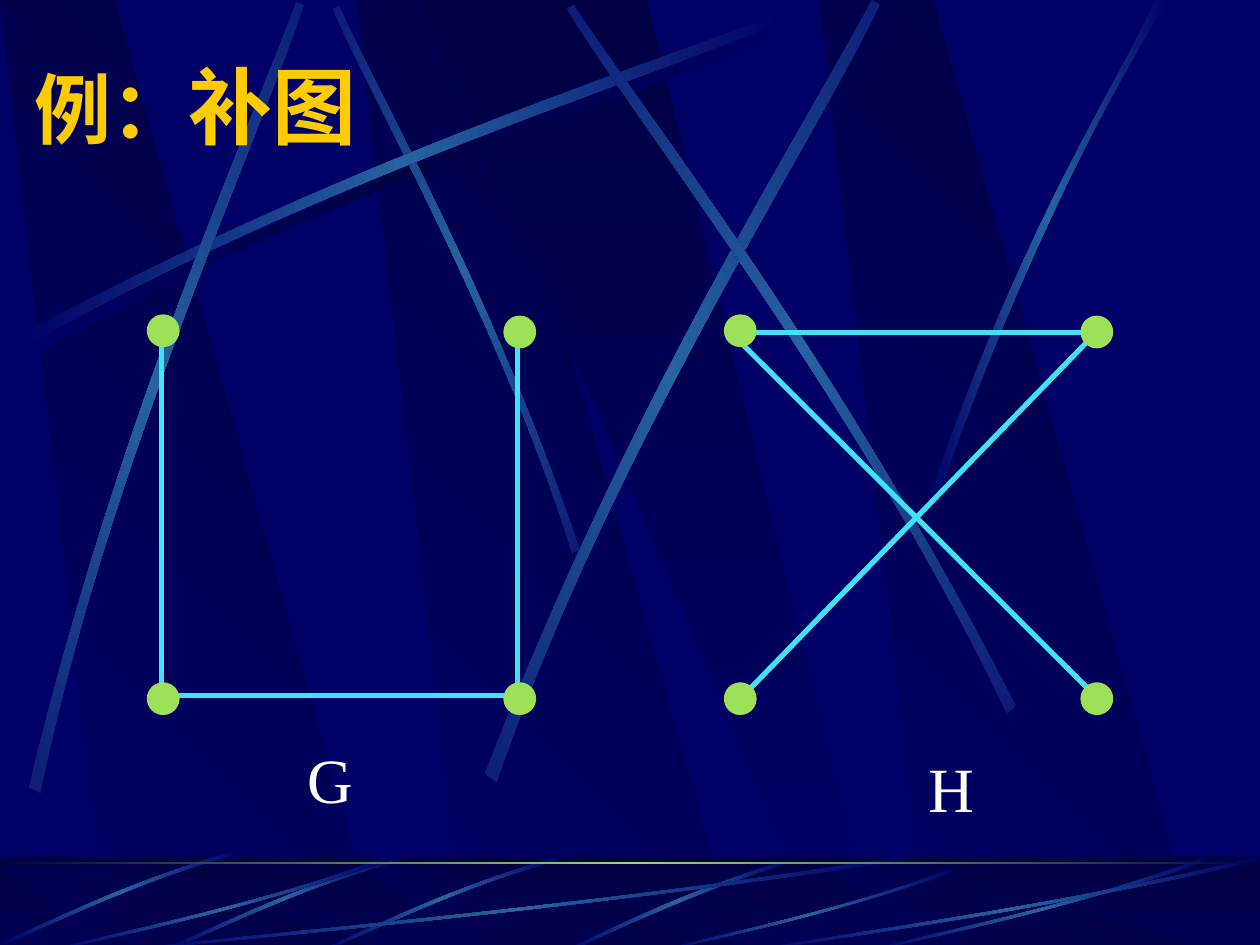
"""Build the slide showing graph G and its complement H."""
from copy import deepcopy
from math import cos, radians, sin

from lxml import etree
from pptx import Presentation
from pptx.dml.color import RGBColor
from pptx.enum.shapes import MSO_CONNECTOR, MSO_SHAPE
from pptx.enum.text import MSO_ANCHOR, MSO_AUTO_SIZE, PP_ALIGN
from pptx.oxml.ns import qn
from pptx.util import Inches, Pt

RECT, OVAL, LINE = MSO_SHAPE.RECTANGLE, MSO_SHAPE.OVAL, MSO_CONNECTOR.STRAIGHT
LEFT, MIDDLE, FIT = PP_ALIGN.LEFT, MSO_ANCHOR.MIDDLE, MSO_AUTO_SIZE.SHAPE_TO_FIT_TEXT

THEME = {
    "back": "000066", "dark": "000044", "glow": "2663A0", "node": "9CE157",
    "edge": "40E2F8", "title": "FFCC00", "label": "FFFFFF",
    "serif": "Times New Roman", "cjk": "Noto Sans CJK SC", "label_size": 36,
}
TITLE = [("例：", 44, THEME["serif"]), ("补图", 48, THEME["cjk"])]
LABELS = {"G": (2.34, 5.83), "H": (7.27, 5.9)}
EDGES = {
    "G": [(4.08, 5.52, 1.33, 5.52), (1.28, 2.67, 1.28, 5.58), (4.11, 2.67, 4.11, 5.59)],
    "H": [(5.83, 2.67, 8.75, 5.58), (8.67, 2.64, 5.92, 2.64), (5.92, 5.5, 8.67, 2.67)],
}
NODES = {
    "G": [(1.17, 2.5), (1.17, 5.42), (4, 2.51), (4, 5.42)],
    "H": [(5.75, 2.5), (5.75, 5.42), (8.58, 2.51), (8.58, 5.42)],
}
NODE = 0.25

BEAM = [(0.29, 1), (1, 1), (0.3, 0), (0, 0)]
WEDGE = [(0, 0), (0.9, 1), (1, 1), (0.5, 0)]
BEAMS = [2.83, 0, 6.5]
WALL, FLOOR = (0, 7.52), (6.88, 0.66)

SWEEP = [(0.14, 2.67), (2.78, 1.25), (5.18, 0.51), (6.2, 0.1),
         (6.23, 0.16), (5.22, 0.61), (2.48, 1.43), (0.17, 2.77)]
STREAKS = [
    (45, [(4.6, 4.36), (3.91, 2.34), (3.02, 0.77), (2.69, 0.05),
          (2.64, 0.07), (2.95, 0.79), (3.98, 2.58), (4.54, 4.39)]),
    (0, SWEEP),
    (311.7, [(0.23, 6.25), (0.93, 3.34), (1.97, 1.05), (2.35, 0.02),
             (2.41, 0.04), (2.07, 1.08), (0.86, 3.68), (0.32, 6.29)]),
    (321.6, [(3.85, 6.14), (4.98, 3.2), (6.38, 1.02), (6.92, 0),
             (6.98, 0.04), (6.49, 1.08), (4.86, 3.55), (3.94, 6.21)]),
    (34.8, [(8.06, 5.6), (6.7, 2.93), (5.16, 0.95), (4.55, 0.04),
            (4.5, 0.07), (5.07, 1.01), (6.85, 3.25), (7.99, 5.66)]),
    (0, [(7.38, 3.93), (8.14, 1.73), (8.88, 0.66), (9.17, 0),
         (9.27, 0), (8.36, 1.45), (7.69, 3.22), (7.44, 3.97)]),
]
LOW = [(6.27, 6.82), (5.37, 7.09), (4.77, 7.42), (4.48, 7.54),
       (4.53, 7.55), (4.9, 7.37), (5.71, 7), (6.28, 6.85)]
ARC = [(4.42, 6.8), (3.55, 7.05), (2.87, 7.4), (2.56, 7.53),
       (2.57, 7.55), (2.88, 7.43), (3.65, 7.03), (4.44, 6.83)]
ARCS = [(0, 0), (-1.25, 0), (-2.55, -0.05)]
REED = [(1, 0.04), (0.57, 0.57), (0.17, 0.85), (0, 1),
        (0, 0.98), (0.17, 0.81), (0.62, 0.51), (0.99, 0)]
REEDS = [(1, 6.8, 6.17, 0.75), (0.42, 6.8, 2.67, 0.75), (5.27, 6.89, 2.31, 0.66),
         (6.92, 6.8, 2.67, 0.75), (6, 6.8, 4, 0.75)]


def rgb(name):
    return RGBColor.from_string(THEME[name])


def shade(shape, names, angle):
    shape.shadow.inherit = False
    shape.line.fill.background()
    fill = shape.fill
    fill.gradient()
    fill.gradient_angle = 360 - angle
    stops = next(shape.element.iter(qn("a:gsLst")))
    while len(stops) < len(names):
        stops.append(deepcopy(stops[0]))
    for i, (stop, name) in enumerate(zip(fill.gradient_stops, names)):
        stop.color.rgb = rgb(name)
        stop.position = i / (len(names) - 1)


def paint(shape, name):
    shape.shadow.inherit = False
    shape.fill.solid()
    shape.fill.fore_color.rgb = rgb(name)


def place(unit, box):
    x, y, w, h = box
    return [(x + u * w, y + v * h) for u, v in unit]


def shift(points, dx, dy):
    return [(x + dx, y + dy) for x, y in points]


def centre(points):
    return [(min(v) + max(v)) / 2 for v in zip(*points)]


def turn(point, hub, angle):
    a, dx, dy = radians(angle), point[0] - hub[0], point[1] - hub[1]
    return hub[0] + dx * cos(a) - dy * sin(a), hub[1] + dx * sin(a) + dy * cos(a)


def outline(shapes, points, names, angle, spin=0):
    hub = centre(points)
    flat = [turn(p, hub, -spin) for p in points]
    dots = [(Inches(x), Inches(y)) for x, y in flat]
    pen = shapes.build_freeform(*dots[0])
    pen.add_line_segments(dots[1:], close=True)
    shape = pen.convert_to_shape()
    mid = turn(centre(flat), hub, spin)
    shape.left = Inches(mid[0]) - shape.width // 2
    shape.top = Inches(mid[1]) - shape.height // 2
    shape.rotation = spin
    shade(shape, names, angle)
    return shape


def streak(shapes, points, spin=0, names=("back", "glow", "back")):
    shape = outline(shapes, points, names, 180, spin)
    legs = list(shape.element.iter(qn("a:lnTo")))
    for trio in (legs[:3], legs[4:]):
        bend = etree.Element(qn("a:cubicBezTo"))
        trio[0].addprevious(bend)
        for leg in trio:
            bend.append(leg[0])
            leg.getparent().remove(leg)


def beams(shapes, top, height):
    for x in BEAMS:
        outline(shapes, place(BEAM, (x, top, 3.02, height)), ("dark", "back"), 135)
    outline(shapes, place(WEDGE, (3.33, top, 3.61, height)), ("dark", "back"), 90)


def band(shapes, top, height):
    return shapes.add_shape(RECT, 0, Inches(top), Inches(10), Inches(height))


def scene(shapes):
    beams(shapes, *WALL)
    streak(shapes, shift(SWEEP, 0.06, 0.08), names=("back", "dark", "back"))
    for spin, points in STREAKS:
        streak(shapes, points, spin)
    shade(band(shapes, 6.8, 0.75), ("dark", "back"), 90)
    beams(shapes, *FLOOR)
    veil = band(shapes, 6.79, 0.75)
    paint(veil, "dark")
    veil.line.fill.background()
    tint = next(veil.element.spPr.iter(qn("a:srgbClr")))
    etree.SubElement(tint, qn("a:alpha"), val="50000")
    streak(shapes, LOW)
    for dx, dy in ARCS:
        streak(shapes, shift(ARC, dx, dy))
    for box in REEDS:
        streak(shapes, place(REED, box))
    shade(band(shapes, 6.84, 0.02), ("dark", "node", "dark"), 180)


def backdrop(slide, master):
    fill = master.background.fill
    fill.solid()
    fill.fore_color.rgb = rgb("back")
    group = slide.shapes.add_group_shape()
    scene(group.shapes)
    master.shapes.element.insert(2, group.element)


def heading(title):
    title.left, title.top, title.width, title.height = map(Inches, (0.17, 0.38, 8.5, 0.9))
    frame = title.text_frame
    frame.vertical_anchor, frame.auto_size = MIDDLE, FIT
    para = frame.paragraphs[0]
    para.alignment = LEFT
    for text, size, face in TITLE:
        run = para.add_run()
        run.text = text
        font = run.font
        font.size, font.name, font.bold = Pt(size), face, True
        font.color.rgb = rgb("title")
        etree.SubElement(font._element, qn("a:ea"), typeface=THEME["cjk"])


def label(shapes, text):
    x, y = LABELS[text]
    frame = shapes.add_textbox(*map(Inches, (x, y, 0.56, 0.7))).text_frame
    frame.word_wrap, frame.auto_size = False, FIT
    para = frame.paragraphs[0]
    para.text = text
    para.font.name, para.font.size = THEME["serif"], Pt(THEME["label_size"])
    para.font.color.rgb = rgb("label")


def graph(shapes, name):
    for ends in EDGES[name]:
        edge = shapes.add_connector(LINE, *map(Inches, ends))
        edge.line.color.rgb, edge.line.width = rgb("edge"), Pt(3)
        etree.SubElement(edge.element.spPr, qn("a:effectLst"))
    for x, y in NODES[name]:
        node = shapes.add_shape(OVAL, *map(Inches, (x, y, NODE, NODE)))
        paint(node, "node")
        node.line.color.rgb, node.line.width = rgb("node"), Pt(0.75)


def main():
    deck = Presentation()
    deck.slide_width, deck.slide_height = Inches(10), Inches(7.5)
    slide = deck.slides.add_slide(deck.slide_layouts[5])
    backdrop(slide, deck.slide_master)
    heading(slide.shapes.title)
    for name in LABELS:
        label(slide.shapes, name)
        graph(slide.shapes.add_group_shape().shapes, name)
    deck.save("out.pptx")


if __name__ == "__main__":
    main()
